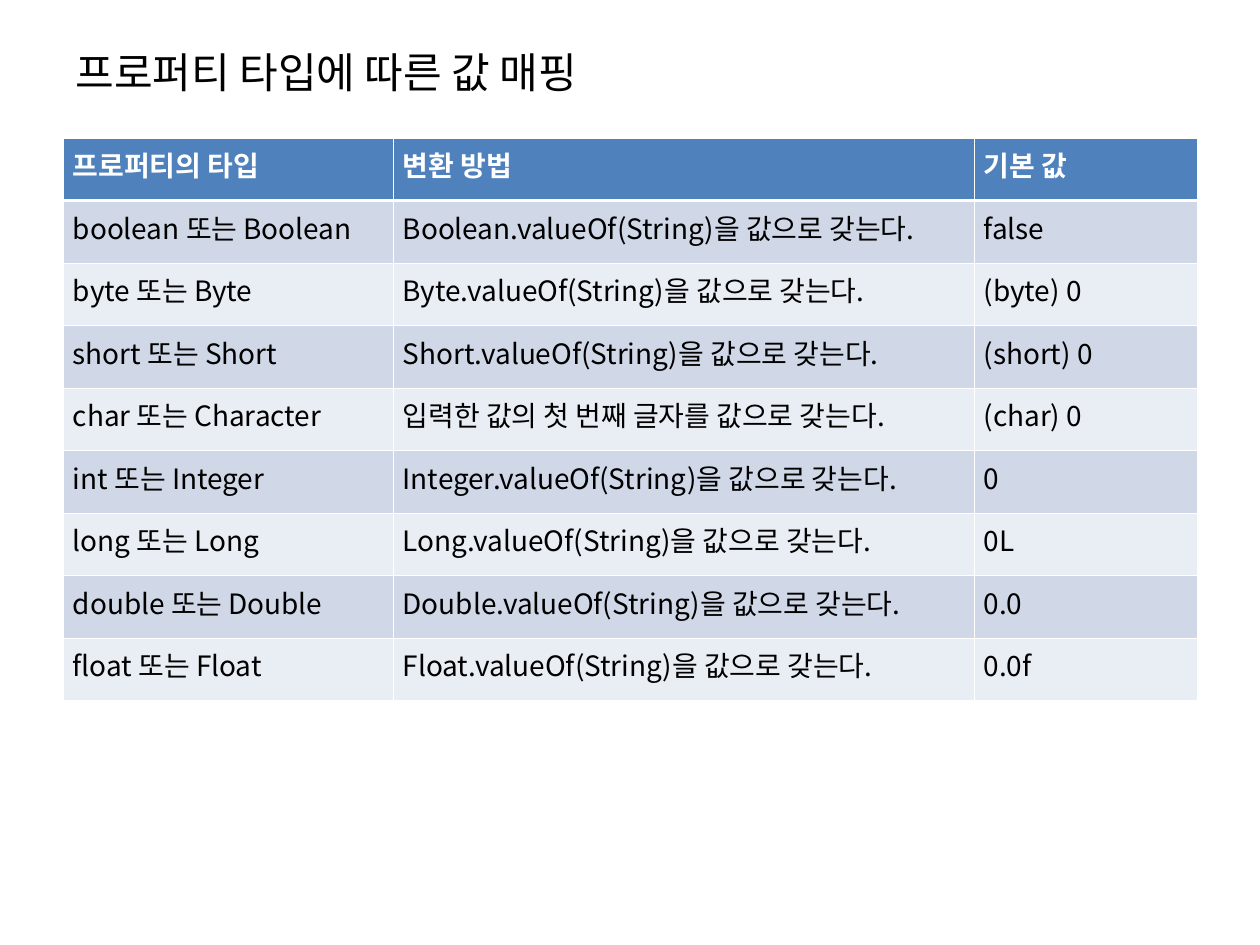
from dataclasses import dataclass

from lxml import etree
from pptx import Presentation, util as u
from pptx.dml.color import RGBColor
from pptx.enum import text
from pptx.oxml import ns


@dataclass(frozen=True)
class Theme:
    face: str = "Noto Sans CJK KR"
    ink: str = "000000"
    white: str = "FFFFFF"
    head: str = "4F81BD"
    bands: tuple = ("D0D8E8", "E9EDF4")
    title: int = 24
    body: int = 16
    thin: float = 0.45
    thick: float = 1.47


def add(node, tag, **attrs):
    return etree.SubElement(node, ns.qn(tag), attrs)


class Page:
    """Holds the theme and the slide being filled."""

    def __init__(self, deck, theme):
        self.theme = theme
        self.slide = deck.slides.add_slide(deck.slide_layouts[5])

    def style(self, para, size, color, bold=False):
        font = para.font
        font.size, font.bold = u.Pt(size), bold
        font.name = self.theme.face
        font.color.rgb = RGBColor.from_string(color)
        add(para._p.pPr.find(ns.qn("a:defRPr")), "a:ea",
            typeface=self.theme.face)

    def title(self, words, left, top, width, height):
        box = self.slide.shapes.title
        box.left, box.top = u.Cm(left), u.Cm(top)
        box.width, box.height = u.Cm(width), u.Cm(height)
        frame = box.text_frame
        frame.text = words
        frame.vertical_anchor = text.MSO_ANCHOR.MIDDLE
        para = frame.paragraphs[0]
        para.alignment = text.PP_ALIGN.LEFT
        self.style(para, self.theme.title, self.theme.ink)

    def edge(self, cell, side, width):
        line = add(cell._tc.get_or_add_tcPr(), "a:ln" + side,
                   w=str(u.Pt(width)))
        add(add(line, "a:solidFill"), "a:srgbClr", val=self.theme.white)

    def cell(self, cell, words, row):
        """Fill one cell; row 0 is the header, with a thick line below it."""
        look = self.theme
        head = row == 0
        heavy = {(0, "B"), (1, "T")}
        for side in "LRTB":
            self.edge(cell, side,
                      look.thick if (row, side) in heavy else look.thin)
        cell.fill.solid()
        fill = look.head if head else look.bands[(row - 1) % 2]
        cell.fill.fore_color.rgb = RGBColor.from_string(fill)
        cell.margin_left = cell.margin_right = u.Cm(0.19)
        cell.margin_top = cell.margin_bottom = u.Cm(0.13)
        cell.text = words
        para = cell.text_frame.paragraphs[0]
        para.alignment = text.PP_ALIGN.JUSTIFY
        self.style(para, look.body, look.white if head else look.ink, head)

    def table(self, rows, left, top, widths, height):
        """Draw rows of text; height is that of a single row."""
        grid = self.slide.shapes.add_table(
            len(rows), len(widths), u.Cm(left), u.Cm(top),
            u.Cm(sum(widths)), u.Cm(height * len(rows))).table
        grid.first_row = grid.horz_banding = False
        for col, width in zip(grid.columns, widths):
            col.width = u.Cm(width)
        for i, row in enumerate(rows):
            grid.rows[i].height = u.Cm(height)
            for j, words in enumerate(row):
                self.cell(grid.cell(i, j), words, i)


HEADS = ("프로퍼티의 타입", "변환 방법", "기본 값")
TYPES = (
    ("boolean", "Boolean", "false"),
    ("byte", "Byte", "(byte) 0"),
    ("short", "Short", "(short) 0"),
    ("char", "Character", "(char) 0"),
    ("int", "Integer", "0"),
    ("long", "Long", "0L"),
    ("double", "Double", "0.0"),
    ("float", "Float", "0.0f"),
)


def rule(boxed):
    if boxed == "Character":
        return "입력한 값의 첫 번째 글자를 값으로 갖는다."
    return f"{boxed}.valueOf(String)을 값으로 갖는다."


def main():
    deck = Presentation()
    deck.slide_width, deck.slide_height = u.Cm(25.4), u.Cm(19.05)
    page = Page(deck, Theme())
    page.title("프로퍼티 타입에 따른 값 매핑", 1.27, 0.76, 22.86, 1.37)
    rows = [HEADS] + [(f"{plain} 또는 {boxed}", rule(boxed), default)
                      for plain, boxed, default in TYPES]
    page.table(rows, 1.28, 2.78, (6.65, 11.71, 4.5), 1.26)
    deck.save("out.pptx")


if __name__ == "__main__":
    main()
